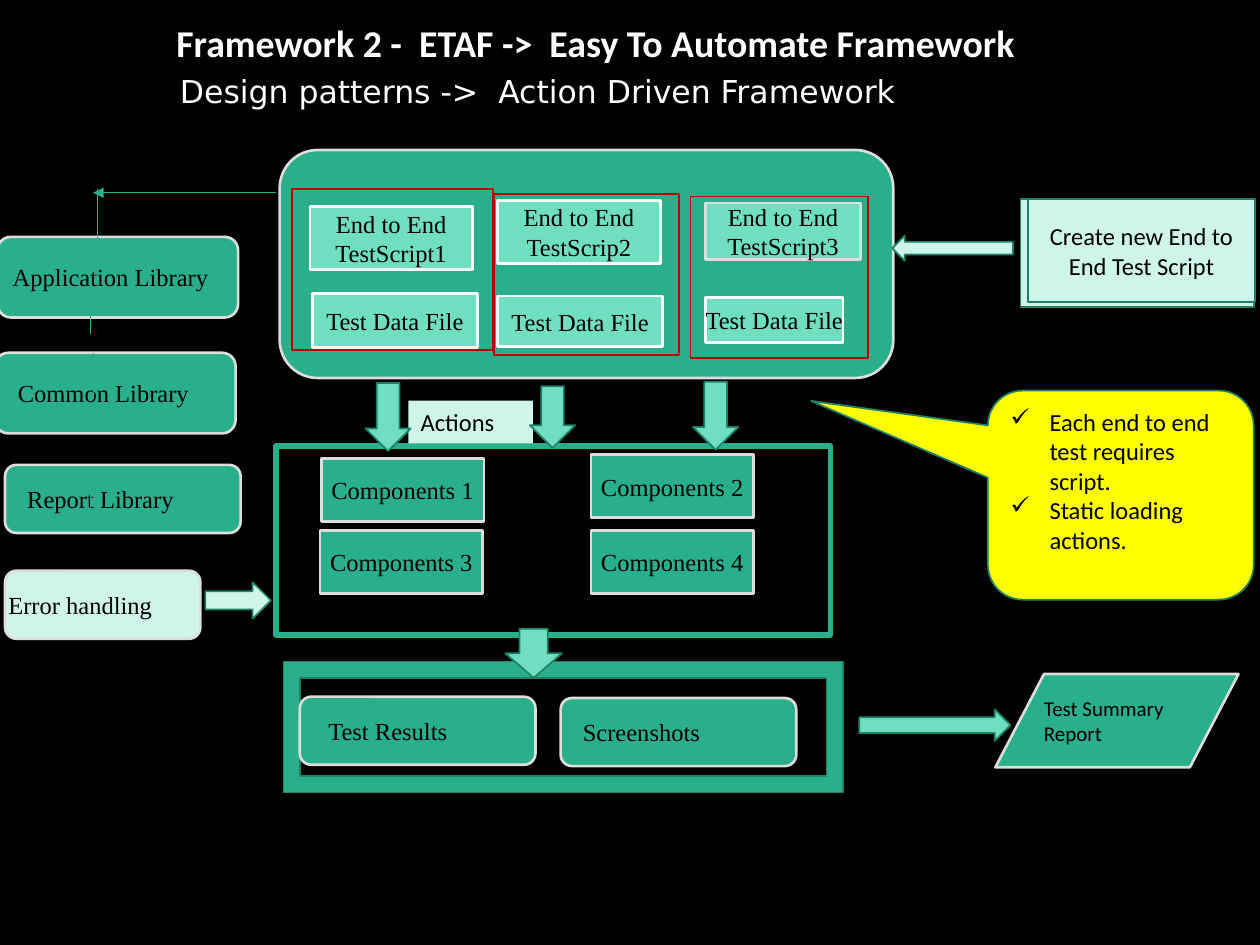
"""Build the ETAF action driven framework slide."""
from lxml.etree import SubElement
from pptx import Presentation
from pptx.dml.color import RGBColor
from pptx.enum.shapes import MSO_CONNECTOR, MSO_SHAPE as Kind
from pptx.enum.text import MSO_ANCHOR, PP_ALIGN
from pptx.oxml.ns import qn
from pptx.util import Inches, Pt

GREEN, MINT, PALE, DARK = "29AF8C", "70DEC1", "CFF4EA", "1E8168"
GREY, SNOW, RED, YELLOW = "DDDDDD", "FAFAFA", "C00000", "FFFF00"
BLACK, WHITE = "000000", "FFFFFF"
SERIF, SANS, WIDE = "Times New Roman", "Calibri", "DejaVu Sans"
ROUND, STEP = Kind.FLOWCHART_ALTERNATE_PROCESS, Kind.FLOWCHART_PROCESS
RIGHT, RECT = Kind.RIGHT_ARROW, Kind.RECTANGLE

HEADS = [
    ("Framework 2 -  ETAF ->  Easy To Automate Framework",
     (0.69, 0.05, 7.82, 0.58), SANS, 21.6, True, 0.71),
    ("Design patterns ->  Action Driven Framework",
     (1.33, 0.52, 6.57, 0.4), WIDE, 18, False, 0.1),
]
PANELS = [
    (STEP, (2.19, 3.54, 4.4, 1.5), None, GREEN, 3),
    (ROUND, (2.22, 1.19, 4.87, 1.81), GREEN, GREY, 1.5),
    (Kind.FRAME, (2.25, 5.25, 4.44, 1.04), GREEN, DARK, 1),
    (RECT, (8.1, 1.58, 1.85, 0.86), PALE, DARK, 1),
]
LABELS = [
    ("Application Library", (-0.02, 1.88, 1.91, 0.64), GREEN, 0.09),
    ("Common Library", (-0.04, 2.8, 1.91, 0.64), GREEN, 0.15),
    ("Report Library", (0.04, 3.69, 1.87, 0.54), GREEN, 0.15),
    ("Error handling", (0.04, 4.53, 1.55, 0.54), PALE, 0),
    ("Test Results", (2.38, 5.53, 1.87, 0.54), GREEN, 0.2),
    ("Screenshots", (4.45, 5.54, 1.87, 0.54), GREEN, 0.15),
]
PARTS = [
    ("Components 1", 2.55, 3.64), ("Components 2", 4.69, 3.61),
    ("Components 3", 2.54, 4.21), ("Components 4", 4.69, 4.21),
]
TESTS = [
    ("End to End TestScript1", (2.46, 1.64, 1.29, 0.5), SNOW,
     (2.48, 2.33, 1.31, 0.43), (2.32, 1.5, 1.59)),
    ("End to End TestScrip2", (3.95, 1.59, 1.29, 0.5), SNOW,
     (3.95, 2.35, 1.31, 0.4), (3.92, 1.54, 1.47)),
    ("End to End TestScript3", (5.6, 1.61, 1.23, 0.45), GREY,
     (5.6, 2.36, 1.09, 0.36), (5.48, 1.56, 1.41)),
]
ARROWS = [
    (RIGHT, (2.81, 3.13, 0.54, 0.36), MINT, 90),
    (RIGHT, (4.14, 3.13, 0.49, 0.36), MINT, 90),
    (RIGHT, (5.41, 3.12, 0.54, 0.36), MINT, 90),
    (RIGHT, (4.04, 4.96, 0.39, 0.45), MINT, 90),
    (RIGHT, (6.82, 5.63, 1.2, 0.25), MINT, 0),
    (RIGHT, (1.63, 4.62, 0.52, 0.29), PALE, 0),
    (Kind.DOWN_ARROW, (7.46, 1.49, 0.2, 0.96), PALE, 90),
]
LINES = [
    (0.77, 1.5, 0.77, 2.17), (0.72, 2.32, 0.72, 2.65),
    (0.74, 2.8, 0.74, 3.17), (0.72, 3.78, 0.72, 4.15),
]
LEAD = (2.19, 1.53, 0.74, 1.53)
NOTES = ["Each end to end test requires script.", "Static loading actions."]

deck = Presentation()
deck.slide_width, deck.slide_height = Inches(10), Inches(7.5)
slide = deck.slides.add_slide(deck.slide_layouts[6])


def tint(code):
    return RGBColor.from_string(code)


def put(kind, box, fill, edge, width=1, turn=0):
    shape = slide.shapes.add_shape(kind, *map(Inches, box))
    shape.shadow.inherit = False
    shape.rotation = turn
    if fill:
        shape.fill.solid()
        shape.fill.fore_color.rgb = tint(fill)
    else:
        shape.fill.background()
    if edge:
        shape.line.color.rgb = tint(edge)
        shape.line.width = Pt(width)
    else:
        shape.line.fill.background()
    return shape


def write(shape, texts, font=SERIF, size=14, color=BLACK, bold=False,
          align=PP_ALIGN.LEFT, pads=(0, 0, 0, 0), anchor=MSO_ANCHOR.MIDDLE,
          wrap=True):
    frame = shape.text_frame
    frame.word_wrap = wrap
    frame.vertical_anchor = anchor
    (frame.margin_left, frame.margin_top,
     frame.margin_right, frame.margin_bottom) = map(Inches, pads)
    for i, text in enumerate(texts):
        para = frame.add_paragraph() if i else frame.paragraphs[0]
        para.alignment = align
        run = para.add_run()
        run.text = text
        run.font.name, run.font.size, run.font.bold = font, Pt(size), bold
        run.font.color.rgb = tint(color)
    return frame


def link(ends, head=False):
    line = slide.shapes.add_connector(
        MSO_CONNECTOR.STRAIGHT, *map(Inches, ends))
    line.line.color.rgb = tint(GREEN)
    line.line.width = Pt(0.5)
    props = line._element.spPr
    if head:
        SubElement(props.get_or_add_ln(), qn("a:tailEnd"), type="triangle")
    SubElement(props, qn("a:effectLst"))


def tick(para):
    props = para._p.get_or_add_pPr()
    props.set("marL", str(Inches(0.31)))
    props.set("indent", str(-Inches(0.31)))
    SubElement(props, qn("a:buChar"), char="✓")


def main():
    back = slide.background.fill
    back.solid()
    back.fore_color.rgb = tint(BLACK)
    for text, box, font, size, bold, left in HEADS:
        area = slide.shapes.add_textbox(*map(Inches, box))
        write(area, [text], font, size, WHITE, bold,
              pads=(left, 0.05, 0.1, 0.05))
    for panel in PANELS:
        put(*panel)
    for text, box, fill, left in LABELS:
        write(put(ROUND, box, fill, GREY, 1.5), [text], pads=(left, 0, 0, 0))
    for ends in LINES:
        link(ends)
    link(LEAD, True)
    for text, x, y in PARTS:
        write(put(STEP, (x, y, 1.29, 0.5), GREEN, GREY, 1.5), [text],
              align=PP_ALIGN.CENTER)
    for text, box, edge, data, ring in TESTS:
        write(put(STEP, box, MINT, edge, 1.5), [text], align=PP_ALIGN.CENTER)
        write(put(RECT, data, MINT, SNOW, 1.5), ["Test Data File"],
              align=PP_ALIGN.CENTER, wrap=False)
        put(RECT, (*ring, 1.28), None, RED)

    pads = (0.1, 0.05, 0.1, 0.05)
    write(put(RECT, (3.24, 3.18, 0.99, 0.34), PALE, None), ["Actions"], SANS,
          pads=pads, anchor=MSO_ANCHOR.TOP)
    write(put(RECT, (8.16, 1.58, 1.8, 0.82), PALE, DARK),
          ["Create new End to End Test Script"], SANS,
          align=PP_ALIGN.CENTER, pads=pads)
    write(put(Kind.FLOWCHART_DATA, (7.9, 5.35, 1.93, 0.74), GREEN, GREY, 1.5),
          ["Test Summary Report"], SANS, 12)
    for kind, box, fill, turn in ARROWS:
        put(kind, box, fill, DARK, turn=turn)

    call = put(Kind.ROUNDED_RECTANGULAR_CALLOUT, (7.84, 3.1, 2.11, 1.66),
               YELLOW, DARK)
    for i, value in enumerate((-1.165, -0.45, 0.167)):
        call.adjustments[i] = value
    frame = write(call, NOTES, SANS, pads=(0.1, 0.05, 0.1, 0.28))
    for para in frame.paragraphs:
        tick(para)
    deck.save("out.pptx")


if __name__ == "__main__":
    main()
